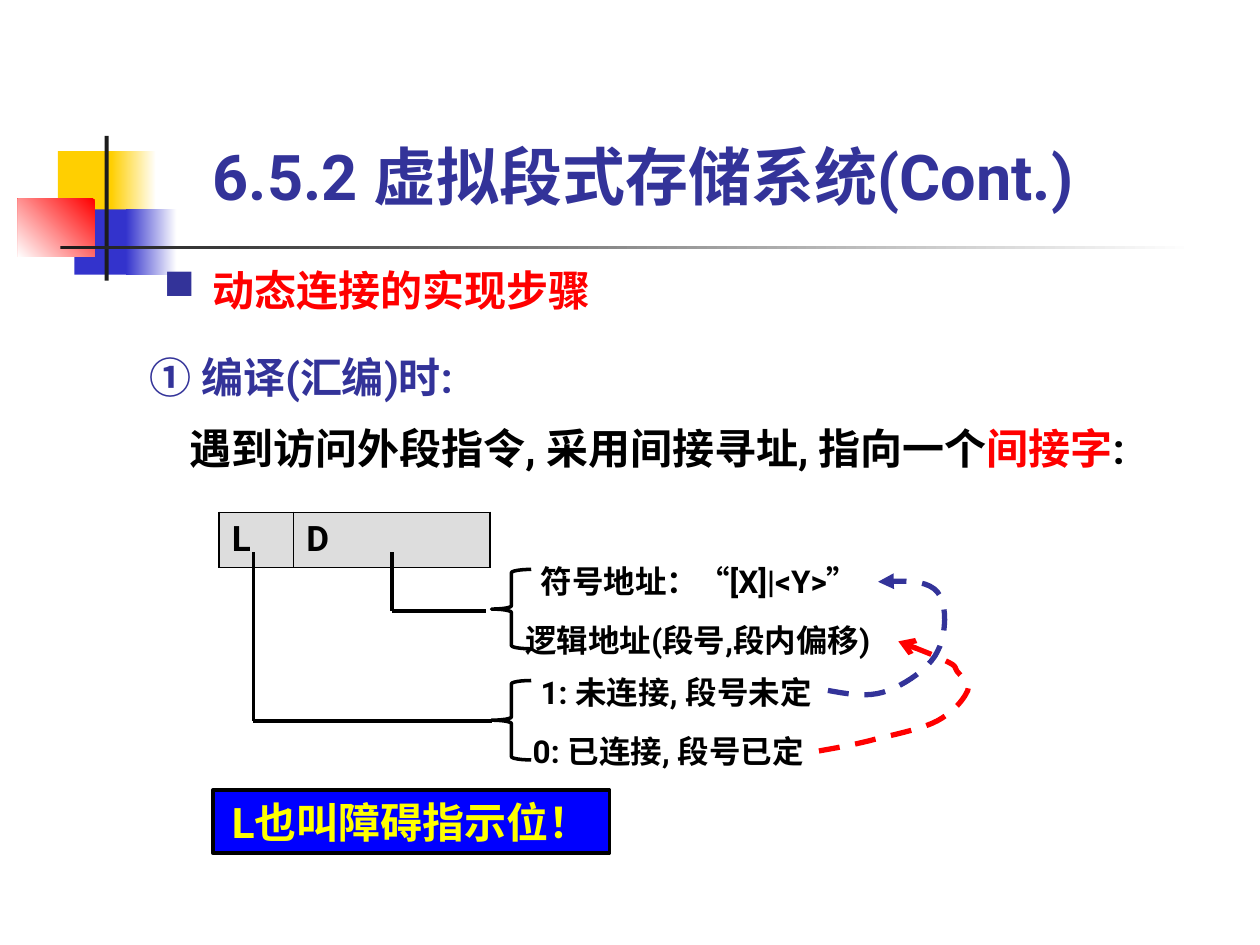
from dataclasses import dataclass

from lxml.etree import SubElement
from pptx import Presentation
from pptx.dml.color import RGBColor
from pptx.enum.dml import MSO_LINE
from pptx.enum.shapes import MSO_CONNECTOR, MSO_SHAPE
from pptx.enum.text import MSO_ANCHOR as Anchor, PP_ALIGN as Align
from pptx.oxml.ns import qn
from pptx.util import Cm, Pt


@dataclass(frozen=True)
class Theme:
    font: str = "Roboto"
    title: int = 36
    body: int = 24
    cell: int = 20
    label: int = 18
    stroke: float = 2
    dash: float = 3
    ink: str = "000000"
    navy: str = "333399"
    red: str = "FF0000"
    yellow: str = "FFFF00"
    blue: str = "0000FF"
    grey: str = "DDDDDD"
    gold: str = "FFCF01"
    indigo: str = "3333CC"
    coal: str = "1C1C1C"
    white: str = "FFFFFF"


THEME = Theme()
rgb = RGBColor.from_string


def style(para, size, color, spans):
    """Fill a paragraph with (text, color) spans; None keeps the paragraph color."""
    for text, span_color in spans:
        span = para.add_run()
        span.text = text
        if span_color:
            span.font.color.rgb = rgb(span_color)
    font = para.font
    font.name, font.size, font.bold = THEME.font, Pt(size), True
    font.color.rgb = rgb(color)


def add_text(page, left, top, width, height, size, color, *lines, anchor=Anchor.TOP):
    box = page.shapes.add_textbox(Cm(left), Cm(top), Cm(width), Cm(height))
    frame = box.text_frame
    frame.word_wrap = True
    frame.vertical_anchor = anchor
    frame.margin_left = frame.margin_top = frame.margin_right = frame.margin_bottom = 0
    for number, spans in enumerate(lines):
        para = frame.add_paragraph() if number else frame.paragraphs[0]
        style(para, size, color, spans)
    return frame.paragraphs


def set_indent(para, margin, first=0):
    props = para._p.get_or_add_pPr()
    props.set("marL", str(Cm(margin)))
    props.set("indent", str(Cm(first)))
    return props


def add_bullet(para, char, color):
    props = set_indent(para, 0.99, -0.99)
    bullet_color = SubElement(props, qn("a:buClr"))
    SubElement(bullet_color, qn("a:srgbClr"), val=color)
    SubElement(props, qn("a:buChar"), char=char)
    # Bullet elements belong before the default run properties
    props.append(props.find(qn("a:defRPr")))


def add_block(page, left, top, width, height, color, fade_angle=None):
    """A rectangle without outline, fading to white when an angle is given."""
    block = page.shapes.add_shape(MSO_SHAPE.RECTANGLE, Cm(left), Cm(top), Cm(width), Cm(height))
    block.shadow.inherit = False
    block.line.fill.background()
    if fade_angle is None:
        block.fill.solid()
        block.fill.fore_color.rgb = rgb(color)
    else:
        block.fill.gradient()
        block.fill.gradient_angle = fade_angle
        for stop, stop_color in zip(block.fill.gradient_stops, (color, THEME.white)):
            stop.color.rgb = rgb(stop_color)
    return block


def set_line(shape, color, width):
    shape.line.color.rgb = rgb(color)
    shape.line.width = Pt(width)


def add_path(page, *points):
    """Straight lines joining the points in turn."""
    for (x1, y1), (x2, y2) in zip(points, points[1:]):
        line = page.shapes.add_connector(MSO_CONNECTOR.STRAIGHT, Cm(x1), Cm(y1), Cm(x2), Cm(y2))
        set_line(line, THEME.ink, THEME.stroke)
        SubElement(line._element.spPr, qn("a:effectLst"))


def add_brace(page, left, top):
    brace = page.shapes.add_shape(MSO_SHAPE.LEFT_BRACE, Cm(left), Cm(top), Cm(0.8), Cm(1.6))
    brace.shadow.inherit = False
    brace.fill.background()
    set_line(brace, THEME.ink, THEME.stroke)


def bezier(a, b, c, d, t):
    u = 1 - t
    return tuple(Cm(u**3 * p + 3 * u * u * t * q + 3 * u * t * t * r + t**3 * s)
                 for p, q, r, s in zip(a, b, c, d))


def add_curved_arrow(page, color, head, knots, steps=10):
    """A dashed arrow through cubic curves; neighbours share an end knot."""
    points = [bezier(*knots[i:i + 4], step / steps)
              for i in range(0, len(knots) - 1, 3) for step in range(1, steps + 1)]
    x, y = knots[0]
    builder = page.shapes.build_freeform(Cm(x), Cm(y))
    builder.add_line_segments(points, close=False)
    arrow = builder.convert_to_shape()
    arrow.shadow.inherit = False
    arrow.fill.background()
    set_line(arrow, color, THEME.dash)
    arrow.line.dash_style = MSO_LINE.DASH
    SubElement(arrow._element.spPr.find(qn("a:ln")), qn("a:tailEnd"), type=head)


def add_word_table(page, left, top, height, fields):
    """One row of fields, with a thin rule between them and a thicker frame."""
    width = sum(size for _, size in fields)
    table = page.shapes.add_table(1, len(fields), Cm(left), Cm(top), Cm(width), Cm(height)).table
    table.first_row = table.horz_banding = False
    for index, (text, size) in enumerate(fields):
        table.columns[index].width = Cm(size)
        cell = table.cell(0, index)
        cell.vertical_anchor = Anchor.MIDDLE
        style(cell.text_frame.paragraphs[0], THEME.cell, THEME.ink, [(text, None)])
        inner = {"L": index > 0, "R": index < len(fields) - 1, "T": False, "B": False}
        for side, thin in inner.items():
            border = SubElement(cell._tc.get_or_add_tcPr(), qn(f"a:ln{side}"),
                                w=str(Pt(0.45 if thin else 1.08)))
            SubElement(SubElement(border, qn("a:solidFill")), qn("a:srgbClr"), val=THEME.ink)
        cell.fill.solid()
        cell.fill.fore_color.rgb = rgb(THEME.grey)


def add_decoration(page):
    add_block(page, 1.17, 3.05, 1.22, 1.32, THEME.gold)
    add_block(page, 2.24, 3.05, 0.91, 1.32, THEME.gold, 0)
    add_block(page, 1.5, 4.22, 1.17, 1.32, THEME.indigo)
    add_block(page, 2.54, 4.22, 1.02, 1.32, THEME.indigo, 0)
    add_block(page, 0.36, 4.01, 1.55, 1.17, THEME.red, 225)
    add_block(page, 2.11, 2.74, 0.08, 2.92, THEME.coal)
    add_block(page, 1.22, 4.95, 22.86, 0.08, THEME.coal, 0)


def add_note(page, text):
    note = add_block(page, 4.29, 15.93, 8, 1.27, THEME.blue)
    set_line(note, THEME.ink, THEME.stroke)
    para = note.text_frame.paragraphs[0]
    para.alignment = Align.CENTER
    style(para, THEME.body, THEME.yellow, [(text, None)])


def main():
    deck = Presentation()
    deck.slide_width, deck.slide_height = Cm(25.4), Cm(19.05)
    page = deck.slides.add_slide(deck.slide_layouts[6])
    add_decoration(page)

    # Title and steps
    add_text(page, 4.29, 1.24, 18.5, 3.05, THEME.title, THEME.navy,
             [("6.5.2 虚拟段式存储系统(Cont.)", None)], anchor=Anchor.BOTTOM)
    heading, = add_text(page, 3.3, 5.33, 9.8, 1.02, THEME.body, THEME.red,
                        [("动态连接的实现步骤", None)])
    add_bullet(heading, "■", THEME.navy)
    steps = add_text(page, 3.02, 6.68, 21.6, 2.84, THEME.body, THEME.ink,
                     [("① 编译(汇编)时:", THEME.navy)],
                     [("遇到访问外段指令, 采用间接寻址, 指向一个", None),
                      ("间接字", THEME.red), (":", None)])
    for para in steps:
        para.line_spacing = 1.4
    set_indent(steps[1], 0.8)

    # Indirect word and the meaning of its fields
    add_word_table(page, 4.42, 10.33, 1.11, [("L", 1.5), ("D", 3.96)])
    add_path(page, (7.9, 11.13), (7.9, 12.32), (9.8, 12.32))
    add_path(page, (5.11, 11.13), (5.11, 14.53), (9.91, 14.53))
    for top in (11.48, 13.72):
        add_brace(page, 9.91, top)
    for left, top, text in ((10.9, 11.33, "符号地址：“[X]|<Y>”"),
                            (10.59, 12.52, "逻辑地址(段号,段内偏移)"),
                            (10.9, 13.56, "1: 未连接, 段号未定"),
                            (10.74, 14.76, "0: 已连接, 段号已定")):
        add_text(page, left, top, 8.2, 0.76, THEME.label, THEME.ink, [(text, None)])

    # Links from each state to its address
    add_curved_arrow(page, THEME.navy, "triangle", [
        (16.69, 13.92), (17.12, 14), (17.53, 14.07), (17.91, 13.92),
        (18.26, 13.79), (18.75, 13.46), (18.9, 13.13),
        (19.08, 12.8), (19.1, 12.17), (18.9, 11.94),
        (18.69, 11.68), (18.21, 11.71), (17.7, 11.73)])
    add_curved_arrow(page, THEME.red, "arrow", [
        (16.51, 15.14), (16.79, 15.09), (17.09, 15.04), (17.5, 14.94),
        (17.91, 14.83), (18.57, 14.71), (18.9, 14.53),
        (19.23, 14.35), (19.43, 14.1), (19.51, 13.92),
        (19.56, 13.77), (19.38, 13.64), (19.3, 13.54),
        (19.23, 13.44), (19.3, 13.44), (19.1, 13.34),
        (18.9, 13.23), (18.49, 13.08), (18.11, 12.93)])

    add_note(page, "L也叫障碍指示位！")
    deck.save("out.pptx")


if __name__ == "__main__":
    main()
